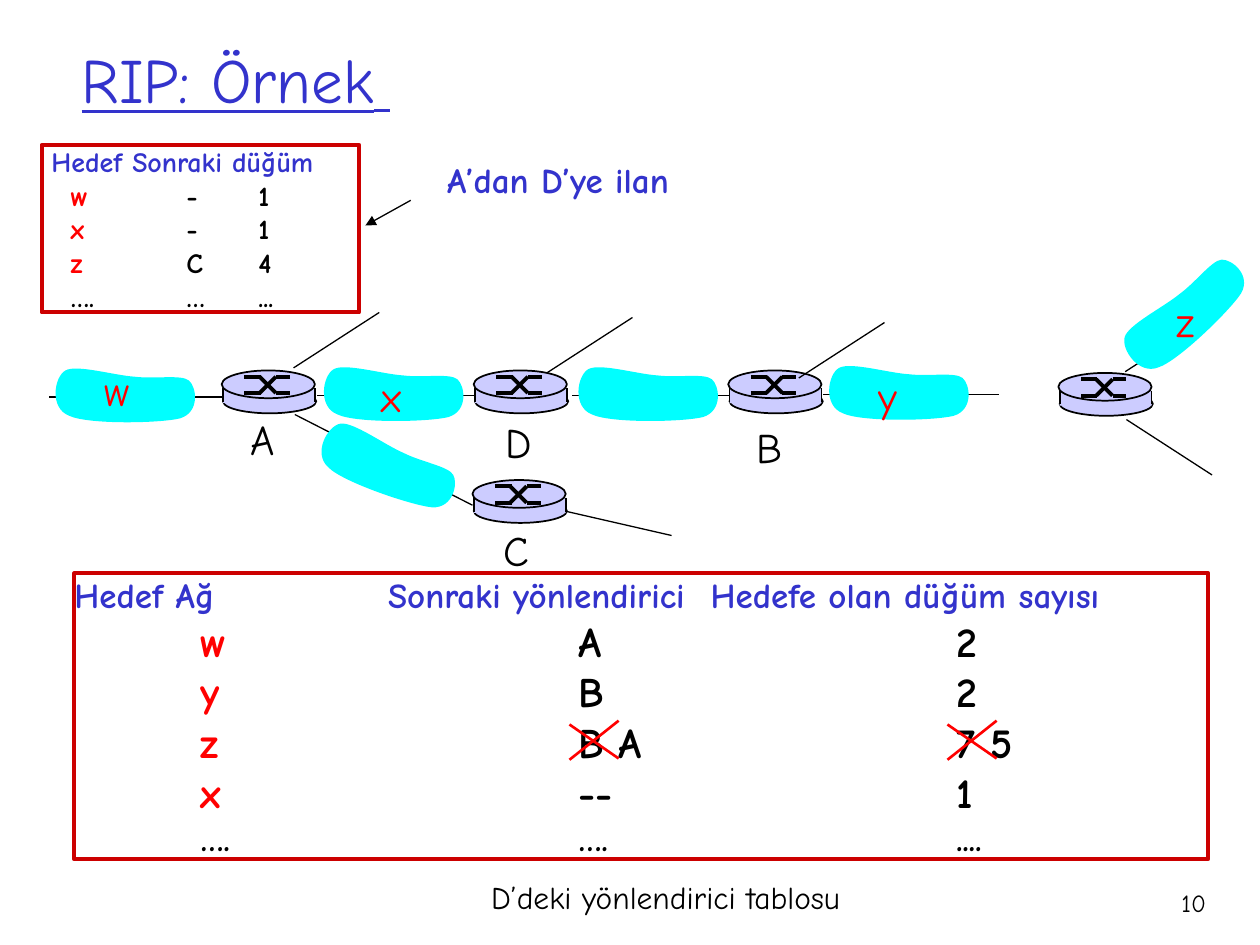
from lxml import etree
from pptx import Presentation, util as u
from pptx.dml.color import RGBColor
from pptx.enum import shapes, text
from pptx.oxml.ns import qn

COLORS = {"blue": "3333CC", "red": "FF0000", "frame": "CC0000", "black": "000000",
          "cloud": "00FFFF", "router": "CCCCFF"}

# Cloud outline: a start point followed by cubic curves, three points each.
CLOUD = [(.68, .10), (.52, .09), (.22, 0), (.13, .05), (.04, .10), (0, .35), (.16, .41),
         (.31, .48), (.88, .47), (1.04, .43), (1.2, .38), (1.17, .18), (1.11, .13),
         (1.05, .08), (.84, .12), (.68, .10)]


def inch(value):
    """Convert a layout position in inches to a metric length."""
    return u.Cm(value * 2.54)


def rgb(name):
    return RGBColor.from_string(COLORS[name])


class Deck:
    font = "Comic Neue"

    def __init__(self, width, height):
        self.prs = Presentation()
        self.prs.slide_width, self.prs.slide_height = inch(width), inch(height)
        self.s = self.prs.slides.add_slide(self.prs.slide_layouts[6])

    def style(self, sp, fill=None, line=None, width=1):
        sp.shadow.inherit = False
        if fill:
            sp.fill.solid()
            sp.fill.fore_color.rgb = rgb(fill)
        else:
            sp.fill.background()
        if line:
            sp.line.color.rgb = rgb(line)
            sp.line.width = u.Pt(width)
        else:
            sp.line.fill.background()
        return sp

    def shape(self, kind, x, y, w, h, **look):
        sp = self.s.shapes.add_shape(kind, inch(x), inch(y), inch(w), inch(h))
        return self.style(sp, **look)

    def line(self, x1, y1, x2, y2, color="black", width=0.75, arrow=False):
        c = self.s.shapes.add_connector(shapes.MSO_CONNECTOR.STRAIGHT,
                                        inch(x1), inch(y1), inch(x2), inch(y2))
        c.line.color.rgb = rgb(color)
        c.line.width = u.Pt(width)
        spPr = c._element.spPr
        if arrow:
            etree.SubElement(spPr.find(qn("a:ln")), qn("a:tailEnd"), type="triangle")
        etree.SubElement(spPr, qn("a:effectLst"))

    def format(self, r, size, color, bold=False):
        r.font.name, r.font.size, r.font.bold = self.font, u.Pt(size), bold
        r.font.color.rgb = rgb(color)

    def label(self, x, y, w, h, words, size, color="black", bold=False, wrap=False):
        tf = self.s.shapes.add_textbox(inch(x), inch(y), inch(w), inch(h)).text_frame
        tf.word_wrap = wrap
        tf.text = words
        self.format(tf.paragraphs[0].runs[0], size, color, bold)
        return tf

    def framed_list(self, x, y, w, h, rows):
        """Each row is (tab stops, size, [(words, colour), ...])."""
        tf = self.shape(shapes.MSO_SHAPE.RECTANGLE, x, y, w, h,
                        line="frame", width=2.25).text_frame
        tf.margin_left = tf.margin_right = tf.margin_top = tf.margin_bottom = 0
        tf.vertical_anchor = text.MSO_ANCHOR.TOP
        tf.word_wrap = True
        for i, (stops, size, runs) in enumerate(rows):
            p = tf.add_paragraph() if i else tf.paragraphs[0]
            p.alignment = text.PP_ALIGN.LEFT
            tabs = etree.SubElement(p._p.get_or_add_pPr(), qn("a:tabLst"))
            for stop in stops:
                etree.SubElement(tabs, qn("a:tab"), pos=str(int(inch(stop))), algn="l")
            for words, color in runs:
                r = p.add_run()
                r.text = words
                self.format(r, size, color, bold=True)

    def cloud(self, x, y, rotation=0):
        points = [(inch(x + dx), inch(y + dy)) for dx, dy in CLOUD]
        fb = self.s.shapes.build_freeform(*points[0])
        fb.add_line_segments(points[1:], close=True)
        sp = self.style(fb.convert_to_shape(), fill="cloud")
        sp.rotation = rotation
        segments = list(sp._element.iter(qn("a:lnTo")))
        for i in range(0, len(CLOUD) - 1, 3):
            curve = etree.Element(qn("a:cubicBezTo"))
            segments[i].addprevious(curve)
            for segment in segments[i:i + 3]:
                curve.append(segment[0])
                segment.getparent().remove(segment)

    def router(self, x, y):
        oval = shapes.MSO_SHAPE.OVAL
        self.shape(oval, x + .01, y + .15, .74, .19, fill="router", line="black")
        self.shape(shapes.MSO_SHAPE.RECTANGLE, x + .01, y + .14, .73, .12, fill="router")
        for side in (x + .01, x + .74):
            self.line(side, y + .14, side, y + .25, width=1)
        self.shape(oval, x, y, .74, .22, fill="router", line="black")
        for start, end in ((.05, .18), (.18, .05)):
            for x1, y1, x2, y2 in ((.18, start, .31, start), (.30, start, .43, end),
                                   (.43, end, .54, end)):
                self.line(x + x1, y + y1, x + x2, y + y2, width=2.25)


def draw_network(d):
    for x, y in ((.39, 3.15), (2.52, 3.14), (4.54, 3.14), (6.53, 3.13)):
        d.line(x, y, x + 1.4, y, width=1)
    for x, y in ((1.76, 2.94), (3.76, 2.94), (5.78, 2.94), (3.75, 3.81), (8.4, 2.96)):
        d.router(x, y)
    for x, y in ((2.33, 2.92), (4.34, 2.96), (6.34, 3), (8.93, 2.95)):
        d.line(x, y, x + .68, y - .44)
    d.line(8.94, 3.33, 9.62, 3.77)
    d.line(2.34, 3.29, 3.75, 4.01)
    d.line(4.5, 4.06, 5.33, 4.25)
    for cloud in ((.39, 2.89), (2.52, 2.88), (4.54, 2.88), (6.53, 2.87),
                  (2.48, 3.46, 19.7), (8.8, 2.25, 316.8)):
        d.cloud(*cloud)
    for name, x, y, w in (("w", .73, 2.84, .4), ("x", 2.93, 2.89, .36),
                          ("y", 6.87, 2.89, .35), ("z", 9.24, 2.3, .34)):
        d.label(x, y, w, .5, name, 24, "red")
    for name, x, y, w in (("A", 1.89, 3.23, .39), ("C", 3.9, 4.11, .4),
                          ("D", 3.91, 3.26, .41), ("B", 5.91, 3.3, .4)):
        d.label(x, y, w, .5, name, 24)


def draw_tables(d):
    stops = (1, 4, 7)
    rows = [((2.49, 5.05), 20,
             [("Hedef Ağ\tSonraki yönlendirici\tHedefe olan düğüm sayısı", "blue")])]
    for net, hop, count in (("w", "A", "2"), ("y", "B", "2"), ("z", "B A", "7 5"),
                            ("x", "--", "1")):
        rows.append((stops, 24, [(f"\t{net}\t", "red"), (f"{hop}\t{count}", "black")]))
    rows.append((stops, 20, [("\t….\t….\t....", "black")]))
    d.framed_list(.59, 4.55, 9, 2.27, rows)

    stops = (.23, 1.15, 1.72)
    rows = [(stops, 16, [(" Hedef Sonraki düğüm", "blue")])]
    for net, hop, count in (("w", "-", "1"), ("x", "-", "1"), ("z", "C", "4")):
        rows.append((stops, 16, [(f"\t{net}\t", "red"), (f"{hop}\t{count}", "black")]))
    rows.append((stops, 16, [("\t….\t…\t...", "black")]))
    d.framed_list(.33, 1.15, 2.52, 1.33, rows)

    for x in (4.52, 7.52):
        d.line(x, 5.75, x + .39, 6.02, "red", 1.5)
        d.line(x, 6.03, x + .39, 5.72, "red", 1.5)


def main():
    d = Deck(10, 7.5)
    tf = d.label(.55, 0, 8.5, 1.25, "RIP: Örnek", 36, "blue", wrap=True)
    tf.vertical_anchor = text.MSO_ANCHOR.MIDDLE
    r = tf.paragraphs[0].add_run()
    r.text = " "
    d.format(r, 28, "blue")
    for r in tf.paragraphs[0].runs:
        r.font.underline = True

    draw_network(d)
    draw_tables(d)
    d.label(3.45, 1.21, 1.96, .44, "A’dan D’ye ilan", 20, "blue", bold=True)
    d.line(3.26, 1.59, 2.9, 1.79, arrow=True)
    d.label(3.8, 6.92, 2.98, .4, "D’deki yönlendirici tablosu", 18)
    number = d.label(8.93, 7, .74, .5, "10", 14, wrap=True)
    number.paragraphs[0].alignment = text.PP_ALIGN.RIGHT
    d.prs.save("out.pptx")


if __name__ == "__main__":
    main()
